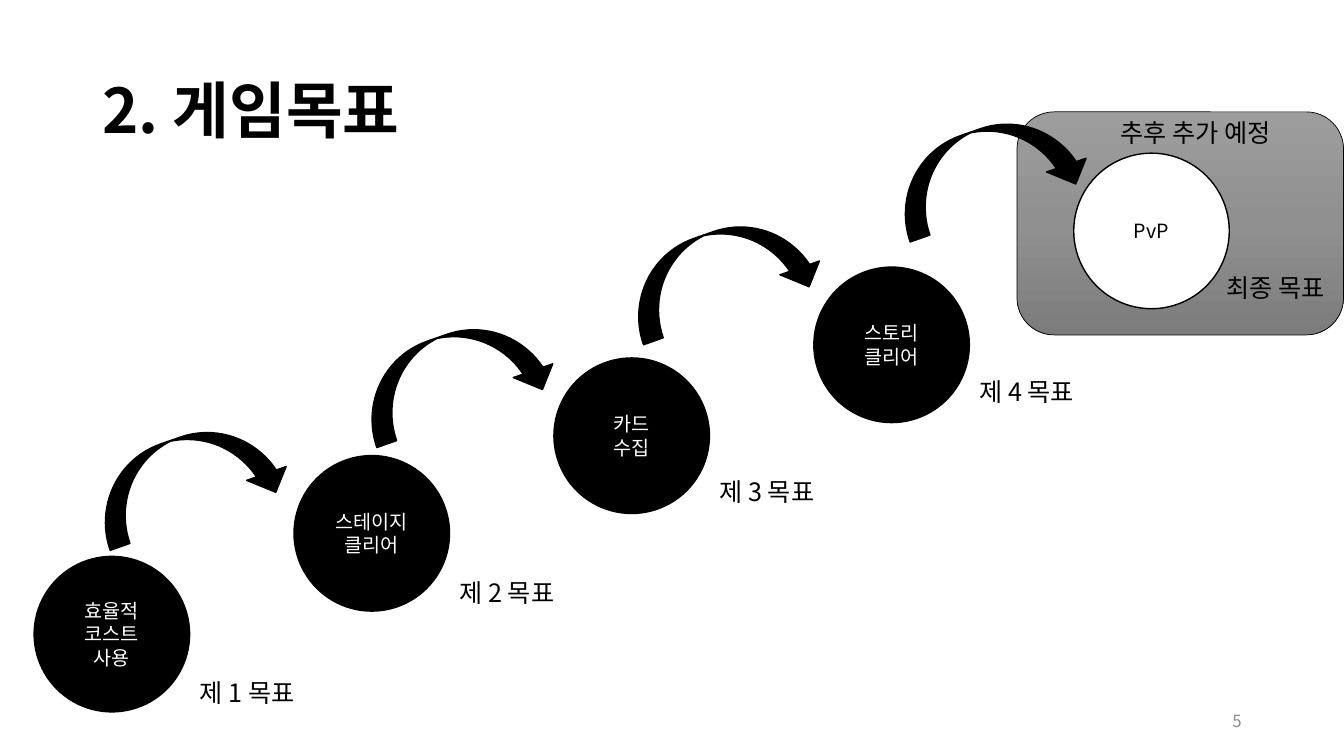
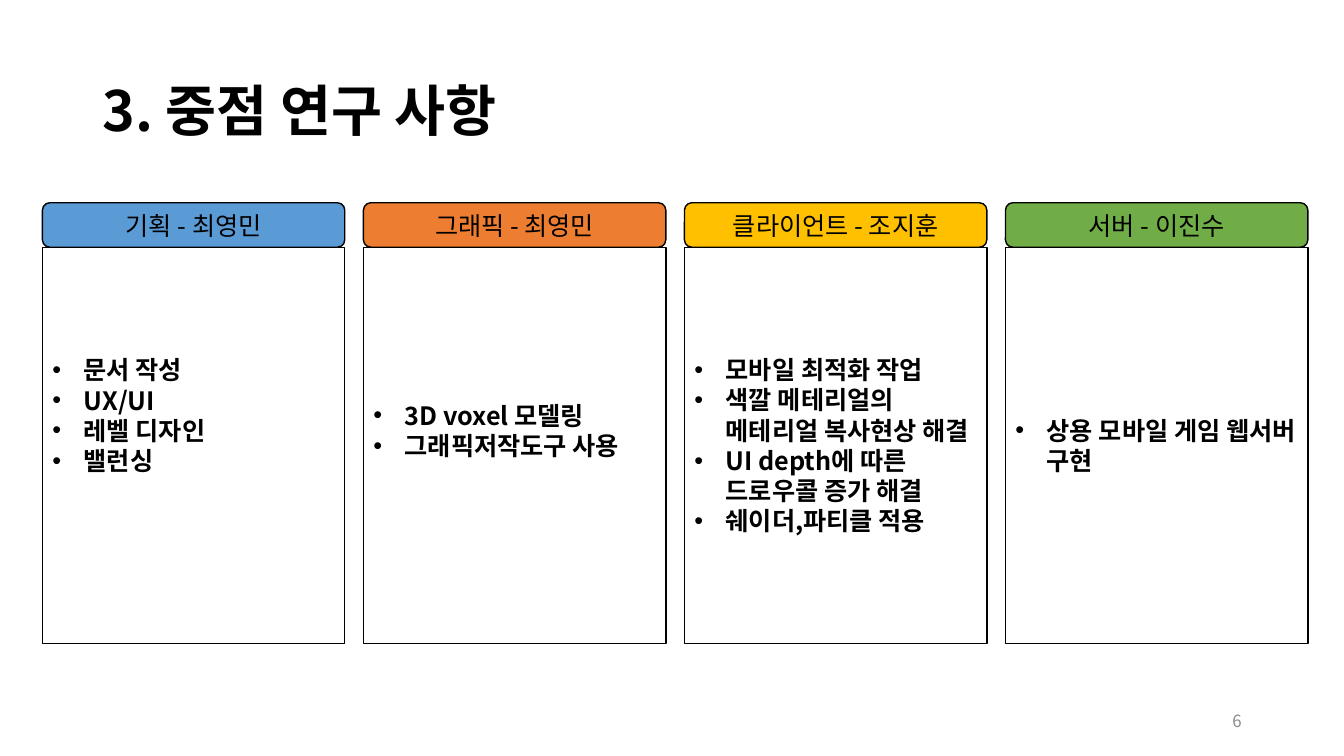
from copy import deepcopy
from dataclasses import dataclass

from lxml.etree import SubElement
from pptx import Presentation
from pptx.dml.color import RGBColor
from pptx.enum.shapes import MSO_SHAPE
from pptx.enum.text import MSO_ANCHOR, MSO_AUTO_SIZE, PP_ALIGN
from pptx.oxml.ns import qn
from pptx.shapes.autoshape import Shape
from pptx.slide import Slide
from pptx.text.text import TextFrame
from pptx.util import Cm, Pt


@dataclass(frozen=True)
class Theme:
    font: str = "Noto Sans CJK KR"
    black: str = "000000"
    white: str = "FFFFFF"
    footer: str = "8C8C8C"
    blue: str = "5B9BD5"
    orange: str = "ED7D31"
    yellow: str = "FFC000"
    green: str = "70AD47"
    panel: tuple[str, ...] = ("9D9D9D", "909090", "7C7C7C")
    title_size: float = 44
    small_title_size: float = 39.6
    text_size: float = 18
    circle_size: float = 14
    footer_size: float = 12


THEME = Theme()


@dataclass(frozen=True)
class Box:
    left: float
    top: float
    width: float
    height: float

    def lengths(self) -> tuple[Cm, Cm, Cm, Cm]:
        return Cm(self.left), Cm(self.top), Cm(self.width), Cm(self.height)


@dataclass(frozen=True)
class TextStyle:
    size: float = THEME.text_size
    color: str = THEME.black
    bold: bool = False
    align: PP_ALIGN = PP_ALIGN.LEFT
    anchor: MSO_ANCHOR = MSO_ANCHOR.MIDDLE
    spacing: float = 1.0
    bulleted: bool = False


@dataclass(frozen=True)
class Goal:
    top: float
    lines: tuple[str, ...]
    fill: str = THEME.black
    color: str = THEME.white


@dataclass(frozen=True)
class Topic:
    heading: str
    fill: str
    items: tuple[str, ...]
    lift: float = 0


GOALS = (
    Goal(14.02, ("효율적", "코스트", "사용")),
    Goal(11.48, ("스테이지", "클리어")),
    Goal(9.02, ("카드", "수집")),
    Goal(6.73, ("스토리", "클리어")),
    Goal(3.86, ("PvP",), THEME.white, THEME.black),
)

TOPICS = (
    Topic("기획 - 최영민", THEME.blue,
          ("문서 작성", "UX/UI", "레벨 디자인", "밸런싱"), 1.52),
    Topic("그래픽 - 최영민", THEME.orange,
          ("3D voxel 모델링", "그래픽저작도구 사용"), 0.76),
    Topic("클라이언트 - 조지훈", THEME.yellow,
          ("모바일 최적화 작업", "색깔 메테리얼의 메테리얼 복사현상 해결",
           "UI depth에 따른 드로우콜 증가 해결", "쉐이더,파티클 적용")),
    Topic("서버 - 이진수", THEME.green, ("상용 모바일 게임 웹서버 구현",)),
)

CIRCLE = 3.92
GOAL_LEFT, GOAL_STEP = 0.86, 6.55
LABEL_TOP, LABEL_RISE = 16.94, 2.53
ARROW_LEFT, ARROW_STEP = 2.29, 6.72
ARROW_TOP, ARROW_RISE = 11.0, 2.59
CARD_LEFT, CARD_STEP, CARD_WIDTH = 1.07, 8.09, 7.62
HEADING_TOP, HEADING_HEIGHT, CARD_HEIGHT = 5.11, 1.12, 9.98


def write(frame: TextFrame, lines: tuple[str, ...], style: TextStyle) -> None:
    frame.word_wrap = True
    frame.auto_size = MSO_AUTO_SIZE.NONE
    frame.vertical_anchor = style.anchor
    frame.margin_left = frame.margin_right = Cm(0.25)
    frame.margin_top = frame.margin_bottom = Cm(0.13)
    for index, line in enumerate(lines):
        para = frame.add_paragraph() if index else frame.paragraphs[0]
        para.alignment = style.align
        para.line_spacing = style.spacing
        para.space_before = para.space_after = Pt(0)
        span = para.add_run()
        span.text = line
        span.font.size = Pt(style.size)
        span.font.bold = style.bold
        span.font.color.rgb = RGBColor.from_string(style.color)
        span.font.name = THEME.font
        SubElement(span.font._element, qn("a:ea"), typeface=THEME.font)
        if style.bulleted:
            properties = para._p.get_or_add_pPr()
            properties.set("marL", str(Cm(0.79)))
            properties.set("indent", str(Cm(-0.79)))
            SubElement(properties, qn("a:buFont"), typeface="Arial")
            SubElement(properties, qn("a:buChar"), char="•")


def place(shape: Shape, box: Box) -> None:
    shape.left, shape.top, shape.width, shape.height = box.lengths()


def paint(shape: Shape, fill: str) -> None:
    shape.shadow.inherit = False
    shape.fill.solid()
    shape.fill.fore_color.rgb = RGBColor.from_string(fill)
    shape.line.color.rgb = RGBColor.from_string(THEME.black)
    shape.line.width = Pt(1)


def add_figure(page: Slide, kind: MSO_SHAPE, box: Box, fill: str) -> Shape:
    shape = page.shapes.add_shape(kind, *box.lengths())
    paint(shape, fill)
    return shape


def add_text(page: Slide, box: Box, text: str, style: TextStyle) -> None:
    write(page.shapes.add_textbox(*box.lengths()).text_frame, (text,), style)


def add_page(deck: Presentation, layout: int, title: str, size: float, number: int) -> Slide:
    page = deck.slides.add_slide(deck.slide_layouts[layout])
    place(page.shapes.title, Box(2.33, 1.01, 29.21, 3.68))
    write(page.shapes.title.text_frame, (title,), TextStyle(size, bold=True, spacing=0.9))
    add_text(page, Box(23.92, 17.66, 7.62, 1.01), str(number),
             TextStyle(THEME.footer_size, THEME.footer, align=PP_ALIGN.RIGHT))
    return page


def add_final_panel(page: Slide) -> None:
    panel = add_figure(page, MSO_SHAPE.ROUNDED_RECTANGLE,
                       Box(25.63, 2.82, 8.23, 5.62), THEME.panel[0])
    panel.line.width = Pt(0.5)
    panel.fill.gradient()
    panel.fill.gradient_angle = 270
    stops = panel.element.spPr.find(qn("a:gradFill")).find(qn("a:gsLst"))
    stops.insert(1, deepcopy(stops[0]))
    for index, stop in enumerate(panel.fill.gradient_stops):
        stop.position = index / 2
        stop.color.rgb = RGBColor.from_string(THEME.panel[index])


def build_goals(deck: Presentation) -> None:
    page = add_page(deck, 5, "2. 게임목표", THEME.title_size, 5)
    label_style = TextStyle(anchor=MSO_ANCHOR.TOP)
    add_final_panel(page)
    for index, goal in enumerate(GOALS):
        box = Box(GOAL_LEFT + index * GOAL_STEP, goal.top, CIRCLE, CIRCLE)
        circle = add_figure(page, MSO_SHAPE.OVAL, box, goal.fill)
        write(circle.text_frame, goal.lines,
              TextStyle(THEME.circle_size, goal.color, align=PP_ALIGN.CENTER))
    for index in range(len(GOALS) - 1):
        arrow_box = Box(ARROW_LEFT + index * ARROW_STEP,
                        ARROW_TOP - index * ARROW_RISE, 4.95, 2.11)
        arrow = add_figure(page, MSO_SHAPE.CURVED_DOWN_ARROW, arrow_box, THEME.black)
        arrow.rotation = 340.7
        label_box = Box(GOAL_LEFT + CIRCLE + index * GOAL_STEP,
                        LABEL_TOP - index * LABEL_RISE, 3.5, 1.02)
        add_text(page, label_box, f"제 {index + 1} 목표", label_style)
    add_text(page, Box(30.66, 6.73, 3.2, 1.02), "최종 목표", label_style)
    add_text(page, Box(27.61, 2.82, 5.03, 1.04), "추후 추가 예정",
             TextStyle(align=PP_ALIGN.CENTER, anchor=MSO_ANCHOR.TOP))


def build_topics(deck: Presentation) -> None:
    page = add_page(deck, 4, "3. 중점 연구 사항", THEME.small_title_size, 6)
    bodies = [holder for holder in page.placeholders if holder.placeholder_format.idx]
    for index, (body, topic) in enumerate(zip(bodies, TOPICS)):
        left = CARD_LEFT + index * CARD_STEP
        place(body, Box(left, HEADING_TOP + HEADING_HEIGHT, CARD_WIDTH, CARD_HEIGHT))
        paint(body, THEME.white)
        write(body.text_frame, topic.items, TextStyle(bold=True, bulleted=True))
        body.text_frame.margin_bottom = Cm(0.13 + topic.lift)
        heading = add_figure(page, MSO_SHAPE.ROUNDED_RECTANGLE,
                             Box(left, HEADING_TOP, CARD_WIDTH, HEADING_HEIGHT), topic.fill)
        write(heading.text_frame, (topic.heading,), TextStyle(align=PP_ALIGN.CENTER))


def main() -> None:
    deck = Presentation()
    deck.slide_width, deck.slide_height = Cm(33.87), Cm(19.05)
    build_goals(deck)
    build_topics(deck)
    deck.save("out.pptx")


if __name__ == "__main__":
    main()
